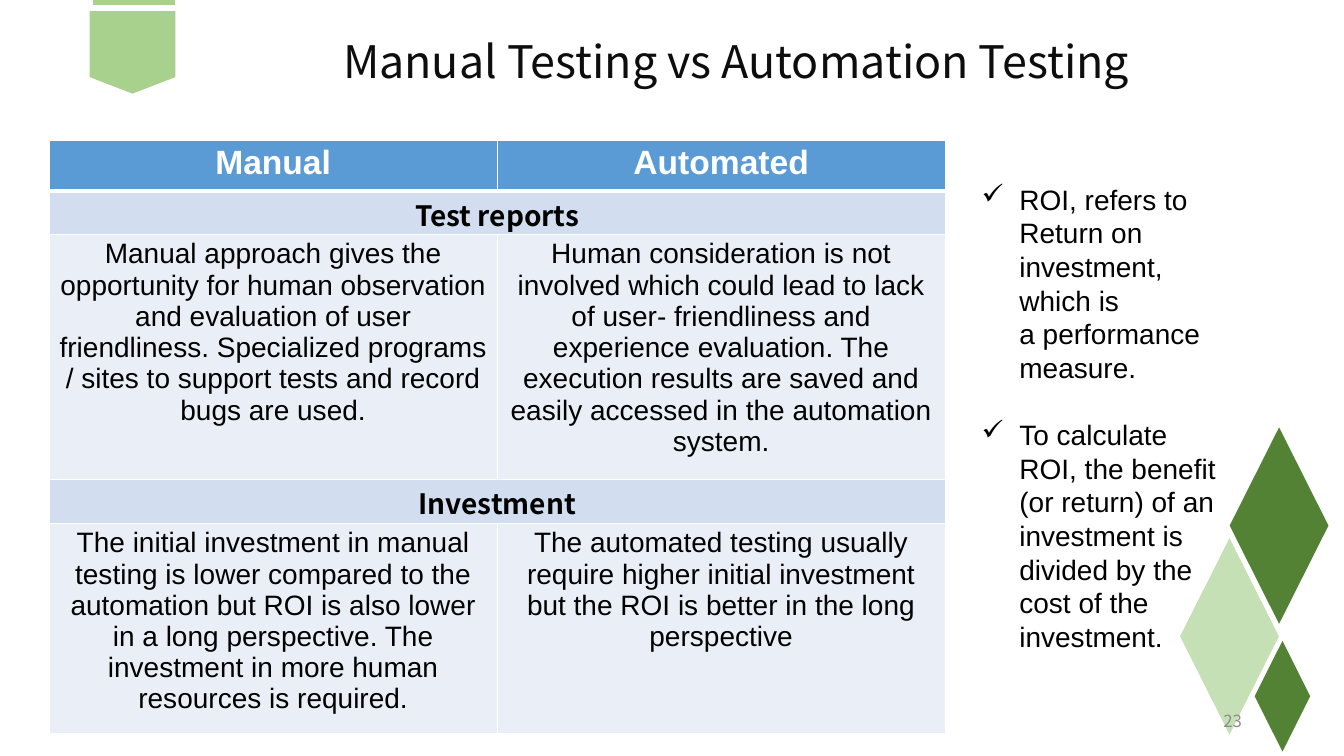
from lxml.etree import SubElement
from pptx import Presentation
from pptx.dml.color import RGBColor
from pptx.enum.shapes import MSO_SHAPE as SHAPE
from pptx.enum.text import MSO_ANCHOR as ANCHOR, MSO_AUTO_SIZE as AUTO_SIZE, PP_ALIGN as ALIGN
from pptx.oxml import parse_xml
from pptx.oxml.ns import nsdecls, qn
from pptx.util import Cm, Pt

SANS, CJK = "Arial", "Noto Sans CJK SC"
GREEN, LIGHT_GREEN, DARK_GREEN = "A9D18E", "C5E0B4", "548235"

COMPARISON = [
    (1.28, ["Manual", "Automated"]),
    (1.1, ["Test reports"]),
    (6.18, [
        "Manual approach gives the opportunity for human observation and evaluation of user "
        "friendliness. Specialized programs / sites to support tests and record bugs are used.",
        "Human consideration is not involved which could lead to lack of user- friendliness and "
        "experience evaluation. The execution results are saved and easily accessed in the "
        "automation system.",
    ]),
    (1.1, ["Investment"]),
    (5.3, [
        "The initial investment in manual testing is lower compared to the automation but ROI is "
        "also lower in a long perspective. The investment in more human resources is required.",
        "The automated testing usually require higher initial investment but the ROI is better "
        "in the long perspective",
    ]),
]
ROI_NOTES = [
    "ROI, refers to Return on investment, which is a\u00a0performance measure.",
    "To calculate ROI, the benefit (or return) of an investment is divided by the cost of "
    "the investment.",
]


def paint(target, color):
    target.solid()
    target.fore_color.rgb = RGBColor.from_string(color)


def style(paragraph, font, size, color, align, bold=False, spacing=None):
    paragraph.alignment = align
    paragraph.font.name = font
    paragraph.font.size = Pt(size)
    paragraph.font.bold = bold
    paint(paragraph.font.fill, color)
    if spacing:
        paragraph.line_spacing = Pt(spacing)


def add_plain(slide, kind, color, left, top, width, height):
    plain = slide.shapes.add_shape(kind, Cm(left), Cm(top), Cm(width), Cm(height))
    plain.shadow.inherit = False
    paint(plain.fill, color)
    plain.line.fill.background()


def add_heading(slide, left, top, width, height):
    heading = slide.shapes.title
    heading.left, heading.top, heading.width, heading.height = map(Cm, (left, top, width, height))
    frame = heading.text_frame
    frame.text = "Manual Testing vs Automation Testing"
    frame.auto_size = AUTO_SIZE.NONE
    frame.vertical_anchor = ANCHOR.MIDDLE
    frame.margin_top = frame.margin_bottom = 0
    style(frame.paragraphs[0], CJK, 32, "0D0D0D", ALIGN.CENTER)


def add_ribbon(slide, left, top, width, height):
    add_plain(slide, SHAPE.FLOWCHART_OFFPAGE_CONNECTOR, GREEN,
              left, top + 0.28, width, height - 0.28)
    add_plain(slide, SHAPE.FLOWCHART_PROCESS, GREEN, left + 0.08, top, width - 0.08, 0.13)


def add_diamonds(slide, left, top, width, height):
    large = (2.49, 4.95)
    small = (1.4, 2.79)
    for color, dx, dy, size in [
        (DARK_GREEN, width - large[0], 0, large),
        (LIGHT_GREEN, 0, 2.79, large),
        (DARK_GREEN, 1.88, height - small[1], small),
    ]:
        add_plain(slide, SHAPE.DIAMOND, color, left + dx, top + dy, *size)


def add_text_box(slide, left, top, width, height):
    frame = slide.shapes.add_textbox(Cm(left), Cm(top), Cm(width), Cm(height)).text_frame
    frame.word_wrap = True
    return frame


def add_page_number(slide, *box):
    frame = add_text_box(slide, *box)
    frame.vertical_anchor = ANCHOR.MIDDLE
    frame.text = "23"
    style(frame.paragraphs[0], CJK, 12, "8C8C8C", ALIGN.RIGHT)


def set_borders(cell, row):
    thick = {0: "B", 1: "T"}.get(row)
    properties = cell._tc.get_or_add_tcPr()
    for position, side in enumerate("LRTB"):
        width = Pt(3 if side == thick else 1)
        properties.insert(position, parse_xml(
            f'<a:ln{side} {nsdecls("a")} w="{width}"><a:solidFill>'
            f'<a:srgbClr val="FFFFFF"/></a:solidFill></a:ln{side}>'))


def add_comparison(slide, left, top, width, height):
    table = slide.shapes.add_table(
        len(COMPARISON), 2, Cm(left), Cm(top), Cm(width), Cm(height)).table
    for column in table.columns:
        column.width = Cm(width / 2)
    for row, (row_height, texts) in enumerate(COMPARISON):
        table.rows[row].height = Cm(row_height)
        if row == 0:
            fill, look = "5B9BD5", (SANS, 24, "FFFFFF", ALIGN.CENTER, True)
        elif len(texts) == 1:
            fill, look = "D2DEEF", (CJK, 20, "000000", ALIGN.CENTER, True, 28)
            table.cell(row, 0).merge(table.cell(row, 1))
        else:
            fill, look = "EAEFF7", (SANS, 20, "000000", ALIGN.CENTER, False, 22.3)
        for column in range(2):
            cell = table.cell(row, column)
            paint(cell.fill, fill)
            set_borders(cell, row)
            cell.margin_top, cell.margin_bottom = Cm(0.1), 0
            if column < len(texts):
                cell.text = texts[column]
                style(cell.text_frame.paragraphs[0], *look)


def add_roi_notes(slide, *box):
    frame = add_text_box(slide, *box)
    frame.text = "\n".join(ROI_NOTES)
    for index, note in enumerate(frame.paragraphs):
        style(note, SANS, 20, "000000", ALIGN.LEFT, spacing=24)
        note.space_before = Pt(24 * index)
        properties = note._p.get_or_add_pPr()
        indent = Cm(0.95)
        properties.set("marL", str(indent))
        properties.set("indent", str(-indent))
        bullet = SubElement(properties, qn("a:buChar"))
        bullet.set("char", "\u2713")
        properties.find(qn("a:defRPr")).addprevious(bullet)


def build_slide(deck):
    slide = deck.slides.add_slide(deck.slide_layouts[5])
    add_heading(slide, 4.88, 0.72, 27.36, 1.63)
    add_ribbon(slide, 2.26, 0, 2.16, 2.36)
    add_diamonds(slide, 29.74, 10.77, 3.74, 8.17)
    add_page_number(slide, 23.93, 17.65, 7.62, 1.02)
    add_comparison(slide, 1.24, 3.53, 22.58, 14.96)
    add_roi_notes(slide, 24.49, 4.47, 6.45, 12.22)


deck = Presentation()
deck.slide_width, deck.slide_height = Cm(33.87), Cm(19.05)
build_slide(deck)
deck.save("out.pptx")
